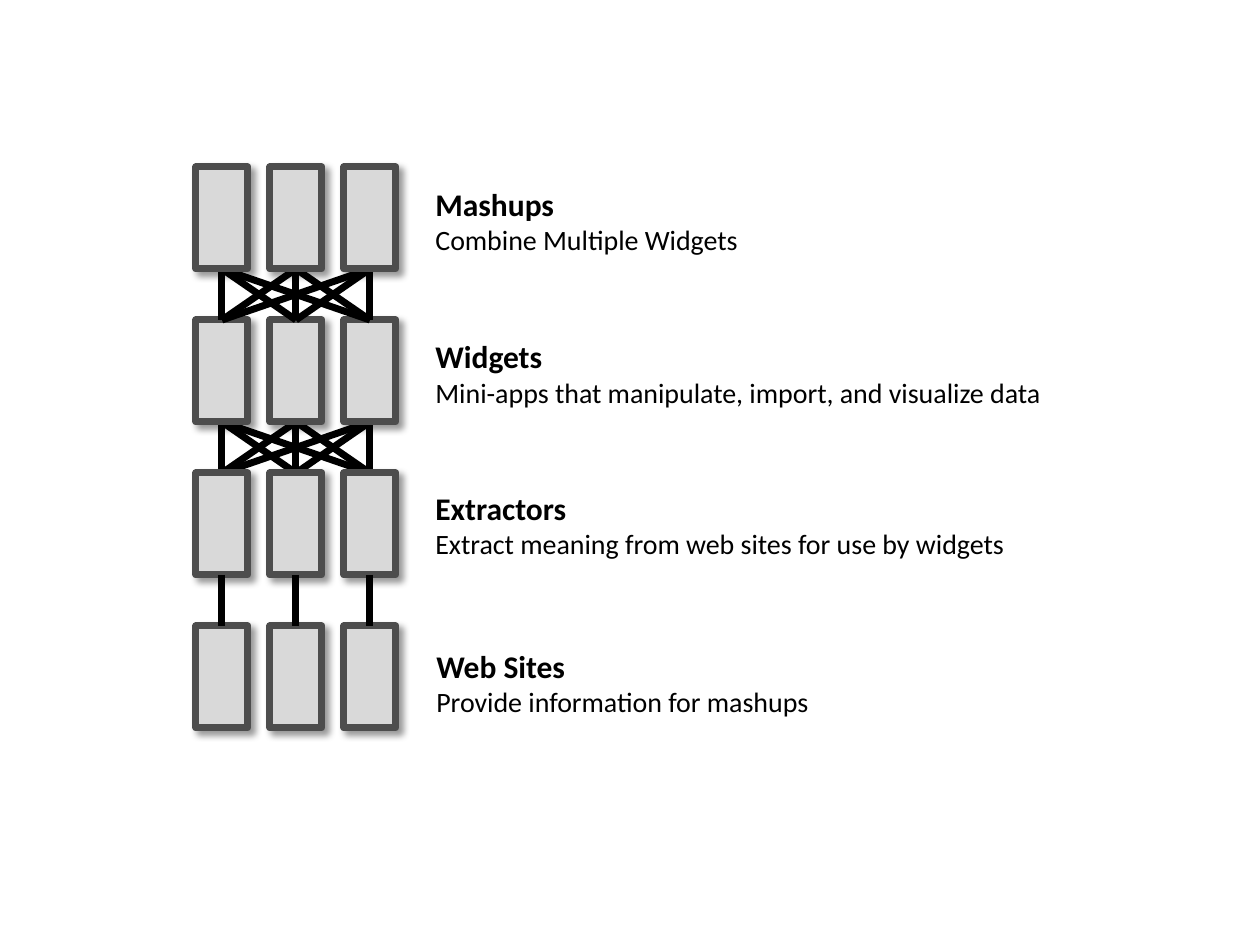
from itertools import product

from lxml.etree import SubElement
from pptx import Presentation
from pptx.dml.color import RGBColor
from pptx.enum.shapes import MSO_CONNECTOR, MSO_SHAPE
from pptx.enum.text import MSO_AUTO_SIZE
from pptx.oxml import parse_xml
from pptx.oxml.ns import nsdecls, qn
from pptx.util import Pt

SCALE = 914400 / 126
BLACK = RGBColor(0x00, 0x00, 0x00)
LIGHT = RGBColor(0xD9, 0xD9, 0xD9)
DARK = RGBColor(0x4D, 0x4D, 0x4D)
FONT = "Calibri"

COLUMNS = 3
BOX_LEFT, BOX_TOP, BOX_W, BOX_H = 196, 167, 52, 102
PITCH_X, PITCH_Y = 74, 153
LABEL_H = 84
SHADOW = (
    f'<a:effectLst {nsdecls("a")}>'
    '<a:outerShdw blurRad="50800" dist="38100" dir="2700000" algn="tl" rotWithShape="0">'
    '<a:srgbClr val="000000"><a:alpha val="40000"/></a:srgbClr>'
    '</a:outerShdw></a:effectLst>'
)

# heading, description, left, top, width
LABELS = [
    ("Mashups", "Combine Multiple Widgets", 423, 179, 331),
    ("Widgets", "Mini-apps that manipulate, import, and visualize data", 423, 331, 638),
    ("Extractors", "Extract meaning from web sites for use by widgets", 423, 483, 602),
    ("Web Sites", "Provide information for mashups", 424, 641, 403),
]


def px(n):
    return round(n * SCALE)


def add_box(s, left, top):
    sp = s.shapes.add_shape(MSO_SHAPE.RECTANGLE, px(left), px(top), px(BOX_W), px(BOX_H))
    sp.fill.solid()
    sp.fill.fore_color.rgb = LIGHT
    sp.line.color.rgb = DARK
    sp.line.width = Pt(4)
    sp._element.spPr.append(parse_xml(SHADOW))
    return sp


def add_row(s, row):
    top = BOX_TOP + row * PITCH_Y
    return [add_box(s, BOX_LEFT + col * PITCH_X, top) for col in range(COLUMNS)]


def add_link(s, upper, lower):
    """Join the bottom of one box to the top of another."""
    link = s.shapes.add_connector(MSO_CONNECTOR.STRAIGHT, 0, 0, 0, 0)
    link.begin_connect(upper, 2)
    link.end_connect(lower, 0)
    link.line.color.rgb = BLACK
    link.line.width = Pt(4)
    SubElement(link._element.spPr, qn("a:effectLst"))
    return link


def add_links(s, pairs):
    return [add_link(s, upper, lower) for upper, lower in pairs]


def add_label(s, heading, description, left, top, width):
    tf = s.shapes.add_textbox(px(left), px(top), px(width), px(LABEL_H)).text_frame
    tf.word_wrap = False
    tf.auto_size = MSO_AUTO_SIZE.SHAPE_TO_FIT_TEXT
    tf.text = f"{heading}\n{description}"
    for p, size, bold in zip(tf.paragraphs, (18, 16), (True, False)):
        p.font.name = FONT
        p.font.size = Pt(size)
        p.font.bold = bold
        p.font.color.rgb = BLACK


def main():
    prs = Presentation()
    prs.slide_width, prs.slide_height = px(1260), px(945)
    s = prs.slides.add_slide(prs.slide_layouts[6])

    for label in LABELS:
        add_label(s, *label)
    mashups, widgets, extractors, sites = [add_row(s, row) for row in range(len(LABELS))]

    tree = s.shapes._spTree
    for link in add_links(s, product(widgets, extractors)):
        tree.insert(2, link._element)  # behind all boxes
    add_links(s, product(mashups, widgets))
    add_links(s, zip(extractors, sites))
    for box in mashups:
        tree.append(box._element)  # in front of their links

    prs.save("out.pptx")


if __name__ == "__main__":
    main()
